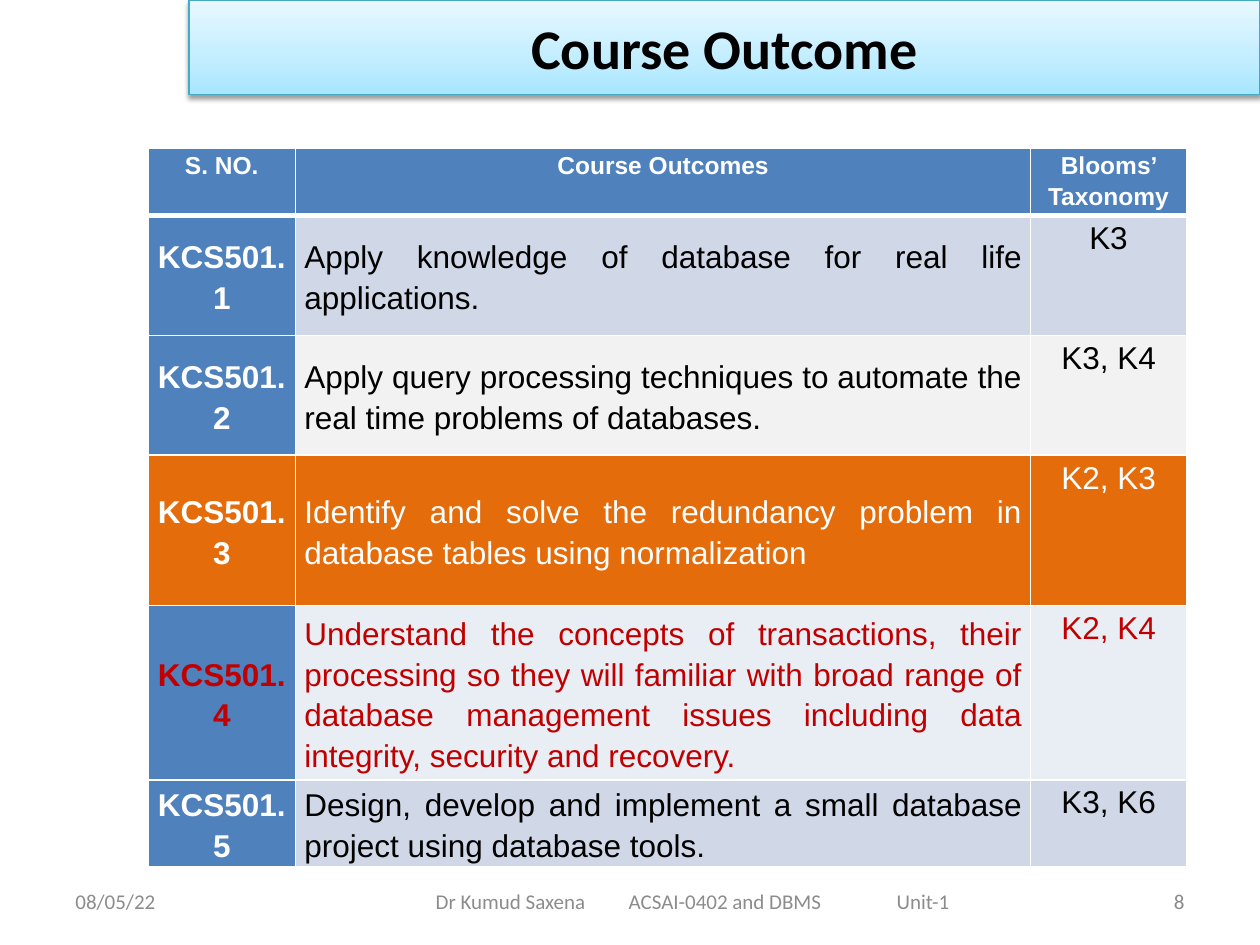
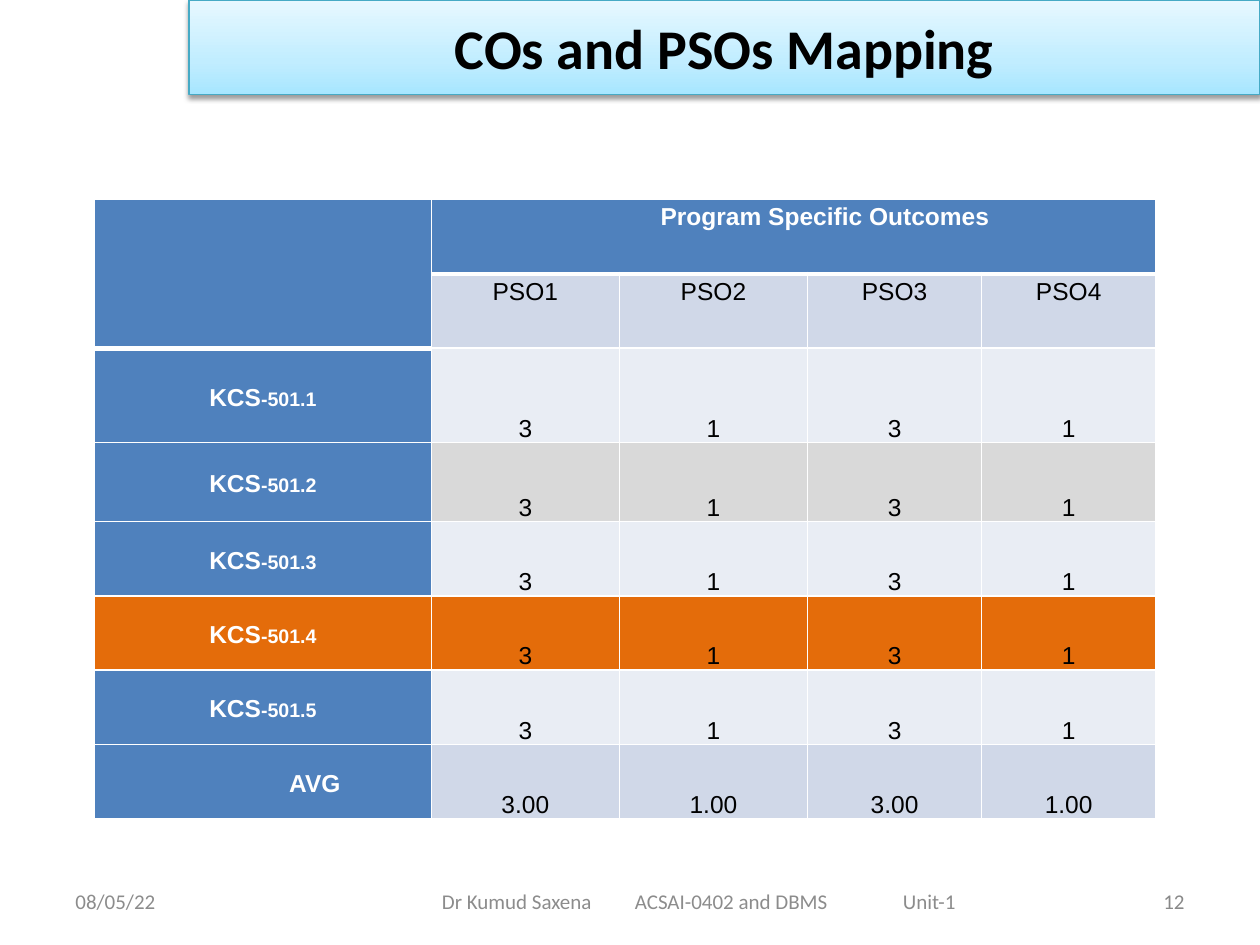
import pptx
import pptx.dml.color
import pptx.enum.shapes
import pptx.enum.text
import pptx.oxml
import pptx.oxml.ns
import pptx.util
from lxml import etree

Pt = pptx.util.Pt
ALIGN = pptx.enum.text.PP_ALIGN
ANCHOR = pptx.enum.text.MSO_ANCHOR
NS = pptx.oxml.ns.nsdecls("a")

BLACK, WHITE, RED, GREY, PAGE_GREY = "000000", "FFFFFF", "C00000", "8C8C8C", "898989"
BLUE, ORANGE = "4F81BD", "E46C0A"
BAND_DARK, BAND_LIGHT, PALE_GREY, MID_GREY = "D0D8E8", "E9EDF4", "F2F2F2", "D9D9D9"
BANNER_EDGE = "46AAC5"
BANNER_STOPS = [(0, "A7E6FF"), (35, "C1EDFF"), (100, "E7F8FF")]

DATE = "08/05/22"
FOOTER_PARTS = ["Dr Kumud Saxena", "ACSAI-0402 and DBMS", "Unit-1"]
FOOTER_TABS = [110.3, 263.4]
FOOTER_WIDTH = 294
FOOTER_TOP, FOOTER_HEIGHT = 500.4, 28.8

OUTCOMES = [
    ("KCS501.1", "Apply knowledge of database for real life applications.",
     "K3", BLUE, BAND_DARK, WHITE, BLACK),
    ("KCS501.2", "Apply query processing techniques to automate the real time "
     "problems of databases.", "K3, K4", BLUE, PALE_GREY, WHITE, BLACK),
    ("KCS501.3", "Identify and solve the redundancy problem in database tables "
     "using normalization", "K2, K3", ORANGE, ORANGE, WHITE, WHITE),
    ("KCS501.4", "Understand the concepts of transactions, their processing so they "
     "will familiar with broad range of database management issues including data "
     "integrity, security and recovery.", "K2, K4", BLUE, BAND_LIGHT, RED, RED),
    ("KCS501.5", "Design, develop and implement a small database project using "
     "database tools.", "K3, K6", BLUE, BAND_DARK, WHITE, BLACK),
]
SCORES = ["3", "1", "3", "1"]
MAPPING = [
    ("KCS-501.1", SCORES, BLUE, BAND_LIGHT),
    ("KCS-501.2", SCORES, BLUE, MID_GREY),
    ("KCS-501.3", SCORES, BLUE, BAND_LIGHT),
    ("KCS-501.4", SCORES, ORANGE, ORANGE),
    ("KCS-501.5", SCORES, BLUE, BAND_LIGHT),
    ("AVG", ["3.00", "1.00", "3.00", "1.00"], BLUE, BAND_DARK),
]


def rgb(value):
    return pptx.dml.color.RGBColor.from_string(value)


class CourseDeck:
    """Holds the shared style and the slide being built."""

    def __init__(self):
        self.deck = pptx.Presentation()
        self.deck.slide_width, self.deck.slide_height = Pt(720), Pt(540)
        self.slide = None

    def new_slide(self, title, number, footer_left, footer_width):
        self.slide = self.deck.slides.add_slide(self.deck.slide_layouts[6])
        self.footer(DATE, 36, 168, ALIGN.LEFT)
        course = self.footer("\t".join(FOOTER_PARTS), footer_left, footer_width,
                             ALIGN.LEFT, tabs=FOOTER_TABS)
        course.margin_left = Pt((footer_width - FOOTER_WIDTH) / 2)
        self.footer(str(number), 516, 168, ALIGN.RIGHT, PAGE_GREY)
        self.banner(title)

    def format(self, paragraph, size, color, bold=False, font="Calibri"):
        for run in paragraph.runs:
            run.font.size, run.font.name, run.font.bold = Pt(size), font, bold
            run.font.color.rgb = rgb(color)

    def footer(self, text, left, width, align, color=GREY, tabs=()):
        box = self.slide.shapes.add_textbox(Pt(left), Pt(FOOTER_TOP), Pt(width),
                                            Pt(FOOTER_HEIGHT))
        frame = box.text_frame
        frame.word_wrap, frame.vertical_anchor = True, ANCHOR.MIDDLE
        paragraph = frame.paragraphs[0]
        paragraph.text, paragraph.alignment = text, align
        if tabs:
            stops = "".join(f'<a:tab pos="{Pt(tab)}" algn="l"/>' for tab in tabs)
            paragraph._p.get_or_add_pPr().append(
                pptx.oxml.parse_xml(f"<a:tabLst {NS}>{stops}</a:tabLst>"))
        self.format(paragraph, 12, color)
        return frame

    def banner(self, title):
        shape = self.slide.shapes.add_shape(
            pptx.enum.shapes.MSO_SHAPE.RECTANGLE, Pt(108), Pt(0), Pt(612), Pt(54))
        properties = shape._element.spPr
        stops = "".join(
            f'<a:gs pos="{pos * 1000}"><a:srgbClr val="{color}"/></a:gs>'
            for pos, color in BANNER_STOPS)
        properties.append(pptx.oxml.parse_xml(
            f"<a:gradFill {NS}><a:gsLst>{stops}</a:gsLst>"
            '<a:lin ang="16200000" scaled="0"/></a:gradFill>'))
        shape.line.color.rgb, shape.line.width = rgb(BANNER_EDGE), Pt(0.75)
        properties.append(pptx.oxml.parse_xml(
            f'<a:effectLst {NS}><a:outerShdw blurRad="{Pt(3.1)}" dist="{Pt(1.6)}" '
            f'dir="5400000" rotWithShape="0"><a:srgbClr val="{BLACK}">'
            '<a:alpha val="38000"/></a:srgbClr></a:outerShdw></a:effectLst>'))
        shape.text_frame.text = title
        shape.text_frame.vertical_anchor = ANCHOR.MIDDLE
        paragraph = shape.text_frame.paragraphs[0]
        paragraph.alignment = ALIGN.CENTER
        self.format(paragraph, 32, BLACK, True)

    def table(self, left, top, widths, heights):
        grid = self.slide.shapes.add_table(
            len(heights), len(widths), Pt(left), Pt(top),
            Pt(sum(widths)), Pt(sum(heights))).table
        for column, width in zip(grid.columns, widths):
            column.width = Pt(width)
        for row, height in zip(grid.rows, heights):
            row.height = Pt(height)
        return grid

    def cell(self, cell, text, fill, color, size, bold=False, align=ALIGN.CENTER,
             anchor=ANCHOR.TOP, after=0, indent=0, small_caps=False):
        cell.fill.solid()
        cell.fill.fore_color.rgb = rgb(fill)
        cell.margin_left = cell.margin_right = Pt(5)
        cell.margin_top = cell.margin_bottom = Pt(0)
        cell.vertical_anchor = anchor
        paragraph = cell.text_frame.paragraphs[0]
        paragraph.text, paragraph.alignment = text, align
        paragraph.line_spacing, paragraph.space_after = 1.15, Pt(after)
        if indent:
            paragraph._p.get_or_add_pPr().set("marL", str(Pt(indent)))
        self.format(paragraph, size, color, bold, "Arial")
        if small_caps:
            for run in paragraph.runs:
                run._r.get_or_add_rPr().set("cap", "small")

    def header(self, cell, text, **options):
        self.cell(cell, text, BLUE, WHITE, 14, True, **options)
        edge = pptx.oxml.parse_xml(
            f'<a:lnB {NS} w="{Pt(3)}"><a:solidFill><a:srgbClr val="{WHITE}"/>'
            "</a:solidFill></a:lnB>")
        cell._tc.get_or_add_tcPr().insert(0, edge)


def course_outcomes(deck):
    deck.new_slide("Course Outcome", 8, 198, 396)
    grid = deck.table(84.5, 84.5, [84.5, 420, 89], [37, 68.5, 68.5, 86, 99.5, 49])
    for column, heading in enumerate(["S. NO.", "Course Outcomes", "Blooms’ Taxonomy"]):
        deck.header(grid.cell(0, column), heading)
    for row, outcome in enumerate(OUTCOMES, 1):
        code, statement, level, code_fill, fill, code_color, color = outcome
        deck.cell(grid.cell(row, 0), code, code_fill, code_color, 18, True,
                  anchor=ANCHOR.MIDDLE)
        deck.cell(grid.cell(row, 1), statement, fill, color, 18,
                  align=ALIGN.JUSTIFY, anchor=ANCHOR.MIDDLE)
        deck.cell(grid.cell(row, 2), level, fill, color, 18)


def pso_mapping(deck):
    deck.new_slide("COs and PSOs Mapping", 12, 178.5, 442)
    grid = deck.table(54, 114, [192.5, 107.5, 107.5, 99.5, 99.5],
                      [42.5, 42.5, 54, 45] + [42.5] * 4)
    for row in range(2):
        deck.header(grid.cell(row, 0), "")
    for column in range(1, 5):
        heading = "Program Specific Outcomes" if column == 1 else ""
        deck.header(grid.cell(0, column), heading, after=10, indent=36)
        deck.cell(grid.cell(1, column), f"PSO{column}", BAND_DARK, BLACK, 14)
    grid.cell(0, 0).merge(grid.cell(1, 0))
    grid.cell(0, 1).merge(grid.cell(0, 4))
    for row, (code, scores, code_fill, fill) in enumerate(MAPPING, 2):
        deck.cell(grid.cell(row, 0), code, code_fill, WHITE, 14, True,
                  anchor=ANCHOR.MIDDLE, small_caps=True,
                  indent=30 if code == "AVG" else 0)
        for column, score in enumerate(scores, 1):
            deck.cell(grid.cell(row, column), score, fill, BLACK, 14,
                      anchor=ANCHOR.BOTTOM, after=10)


def main():
    deck = CourseDeck()
    course_outcomes(deck)
    pso_mapping(deck)
    deck.deck.save("out.pptx")


if __name__ == "__main__":
    main()
